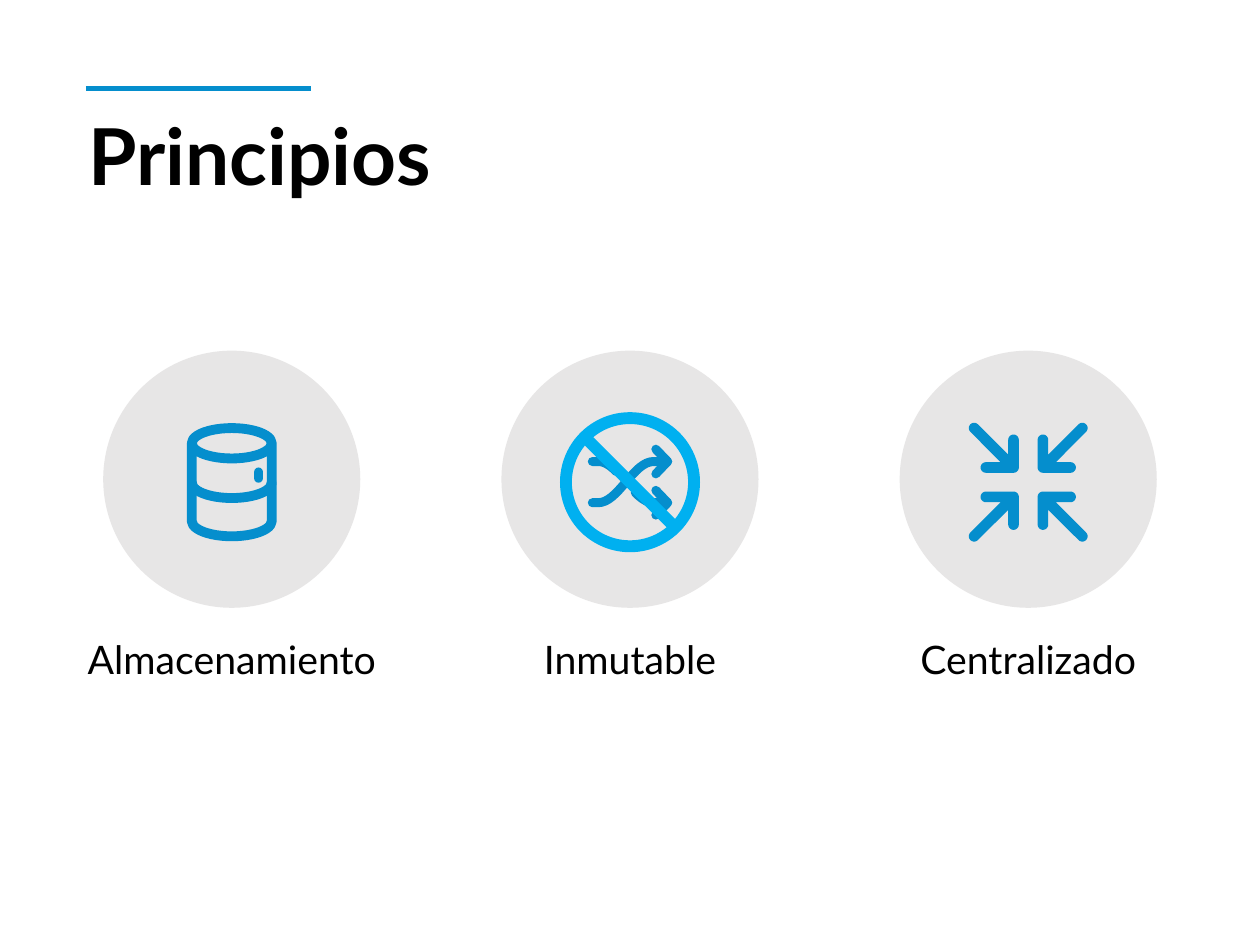
import math
import pptx
import pptx.util
import pptx.dml.color
import pptx.enum.shapes
import pptx.enum.text
import pptx.oxml.ns
import lxml.etree

COLORS = {"blue": "058ECD", "sky": "00B0F0", "disc": "E7E6E6", "text": "000000"}
COLS, ROWS = 1071, 803
DISC = 218.5
PITCH = 338.5
SHAPES = pptx.enum.shapes.MSO_SHAPE

prs = pptx.Presentation()
prs.slide_width = pptx.util.Inches(10.71)
prs.slide_height = pptx.util.Inches(8.03)


def color(name):
    return pptx.dml.color.RGBColor.from_string(COLORS[name])


def place(col, row):
    return int(prs.slide_width * col / COLS), int(prs.slide_height * row / ROWS)


def stroke(sp, width, cap="rnd"):
    sp.line.color.rgb = color("blue")
    sp.line.width = pptx.util.Pt(width)
    qn = pptx.oxml.ns.qn
    ln = sp._element.spPr.find(qn("a:ln"))
    ln.set("cap", cap)
    lxml.etree.SubElement(ln, qn("a:round"))


def paint(sp, fill, width):
    sp.shadow.inherit = False
    if fill:
        sp.fill.solid()
        sp.fill.fore_color.rgb = color(fill)
    else:
        sp.fill.background()
    if width:
        stroke(sp, width)
    else:
        sp.line.fill.background()


def add_line(s, start, end, width):
    sp = s.shapes.add_connector(
        pptx.enum.shapes.MSO_CONNECTOR.STRAIGHT, *place(*start), *place(*end))
    stroke(sp, width, "flat")
    lxml.etree.SubElement(sp._element.spPr, pptx.oxml.ns.qn("a:effectLst"))


def add_paths(s, paths, fill=None, width=0):
    builder = s.shapes.build_freeform(*place(*paths[0][0]))
    for i, path in enumerate(paths):
        start, *rest = [place(*point) for point in path]
        if i:
            builder.move_to(*start)
        builder.add_line_segments(rest, close=bool(fill))
    paint(builder.convert_to_shape(), fill, width)


def add_shape(s, kind, box, fill=None, width=0, adjust=()):
    sp = s.shapes.add_shape(kind, *place(*box[:2]), *place(*box[2:]))
    for i, value in enumerate(adjust):
        sp.adjustments[i] = value
    paint(sp, fill, width)


def add_text(s, box, text, font, align):
    tf = s.shapes.add_textbox(*place(*box[:2]), *place(*box[2:])).text_frame
    frame = {"word_wrap": True, "margin_left": 0, "margin_right": 0,
             "margin_top": 0, "margin_bottom": 0,
             "vertical_anchor": pptx.enum.text.MSO_ANCHOR.TOP}
    for name, value in frame.items():
        setattr(tf, name, value)
    p = tf.paragraphs[0]
    p.alignment = align
    p.line_spacing = 0.9
    r = p.add_run()
    r.text = text
    for name, value in {"name": "Lato", **font}.items():
        setattr(r.font, name, value)
    r.font.color.rgb = color("text")


def draw_storage(s, x, y):
    add_shape(s, SHAPES.CAN, (x - 34, y - 43.5, 68, 92), width=6, adjust=[0.38])
    add_shape(s, SHAPES.ARC, (x - 34, y - 10, 68, 26), width=6, adjust=[0, 108])
    add_shape(s, SHAPES.ROUNDED_RECTANGLE, (x + 19, y - 10, 7.5, 13),
              fill="blue", adjust=[0.5])


def draw_immutable(s, x, y):
    def wave(first, last, side):
        steps = [first + (last - first) * i / 16 for i in range(17)]
        return [(x - 27 + 47 * t, y + 2.5 + side * 17.5 * math.cos(math.pi * t))
                for t in steps]

    def end(dx, row):
        return [(x + dx, y + 2.5 + row * 17.5)]

    def head(row):
        tip = y + 2.5 + row * 17.5
        return [(x + 22, tip - 10.5), (x + 32, tip), (x + 22, tip + 10.5)]

    add_paths(s, [
        end(-32, 1) + wave(0, 1, 1) + end(32, -1),
        end(-32, -1) + wave(0, 0.33, -1),
        wave(0.67, 1, -1) + end(32, 1),
        head(-1), head(1),
    ], width=5.5)
    add_shape(s, SHAPES.NO_SYMBOL, (x - 59.5, y - 57, 119, 119),
              fill="sky", adjust=[0.085])


def draw_centralized(s, x, y):
    def arc(cx, cy, first, last):
        angles = [math.radians(first + (last - first) * i / 12) for i in range(13)]
        return [(cx + 4.5 * math.cos(a), cy + 4.5 * math.sin(a)) for a in angles]

    arrow = (arc(36, 12.5, 90, -90) + arc(12.5, 12.5, -90, -180)
             + arc(12.5, 36, 180, 0) + [(17, 23.5)]
             + arc(46, 46, 135, -45) + [(23.5, 17)])
    add_paths(s, [[(x + h * dx, y + 2.5 + v * dy) for dx, dy in arrow]
                  for h in (-1, 1) for v in (-1, 1)], fill="blue")


def add_header(s, box, title):
    left, top, width, height = box
    add_line(s, (left - 2, top - 25), (left + 189, top - 25), 3)
    add_text(s, box, title, {"size": pptx.util.Pt(48), "bold": True},
             pptx.enum.text.PP_ALIGN.LEFT)


def add_principle(s, box, label, draw, label_width):
    left, top, width, height = box
    x, y = left + width / 2, top + width / 2
    add_shape(s, SHAPES.OVAL, (left, top, width, width), fill="disc")
    draw(s, x, y)
    add_text(s, (x - label_width / 2, top + height - 110, label_width, 110), label,
             {"size": pptx.util.Pt(24)}, pptx.enum.text.PP_ALIGN.CENTER)


def build_slide(principles):
    s = prs.slides.add_slide(prs.slide_layouts[6])
    add_header(s, (75, 100, 921, 81), "Principios")
    for i, principle in enumerate(principles):
        add_principle(s, (87.75 + i * PITCH, 298, DISC, 356.5), *principle)


def main():
    build_slide([
        ("Almacenamiento", draw_storage, 268),
        ("Inmutable", draw_immutable, 306),
        ("Centralizado", draw_centralized, 268),
    ])
    prs.save("out.pptx")


if __name__ == "__main__":
    main()
